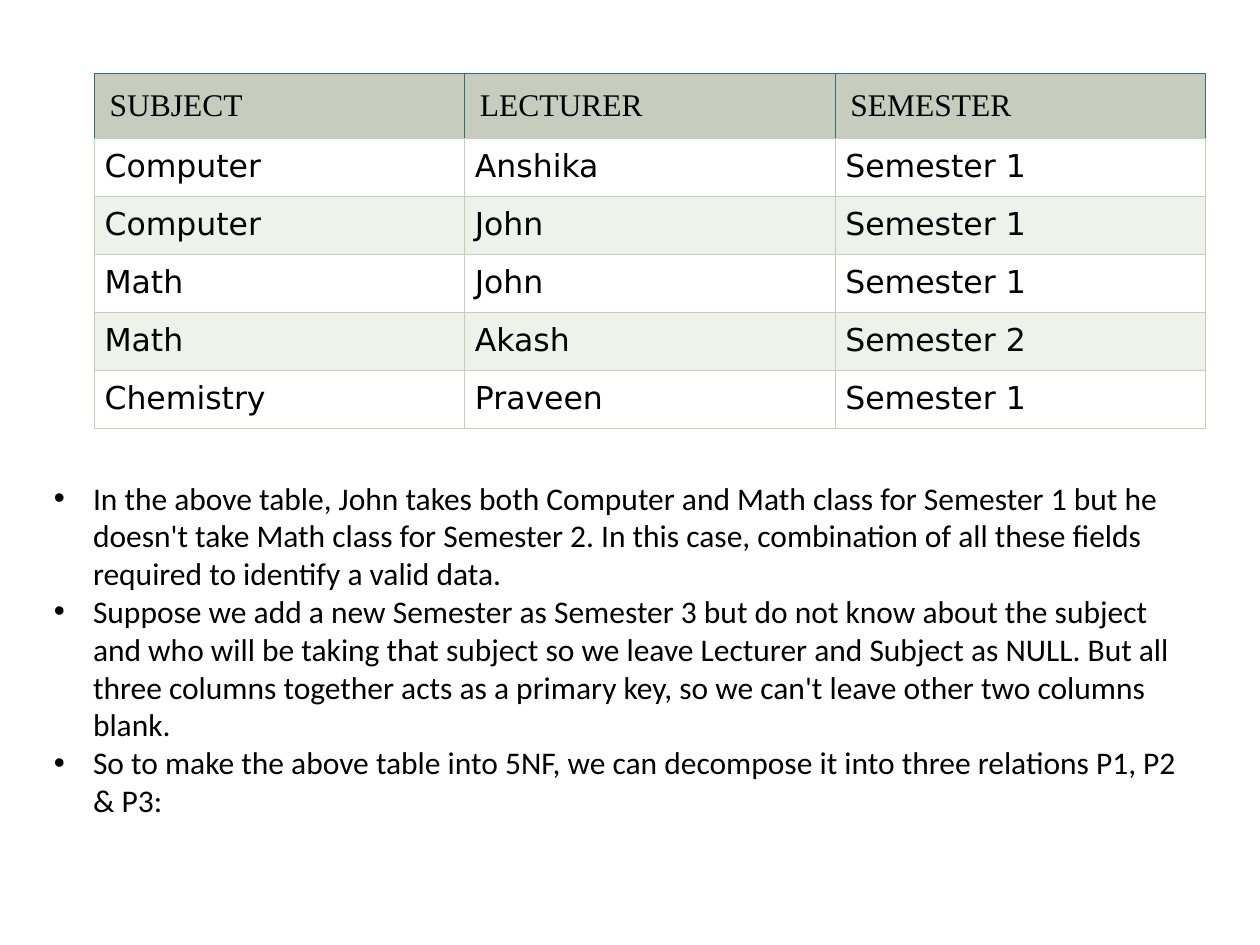
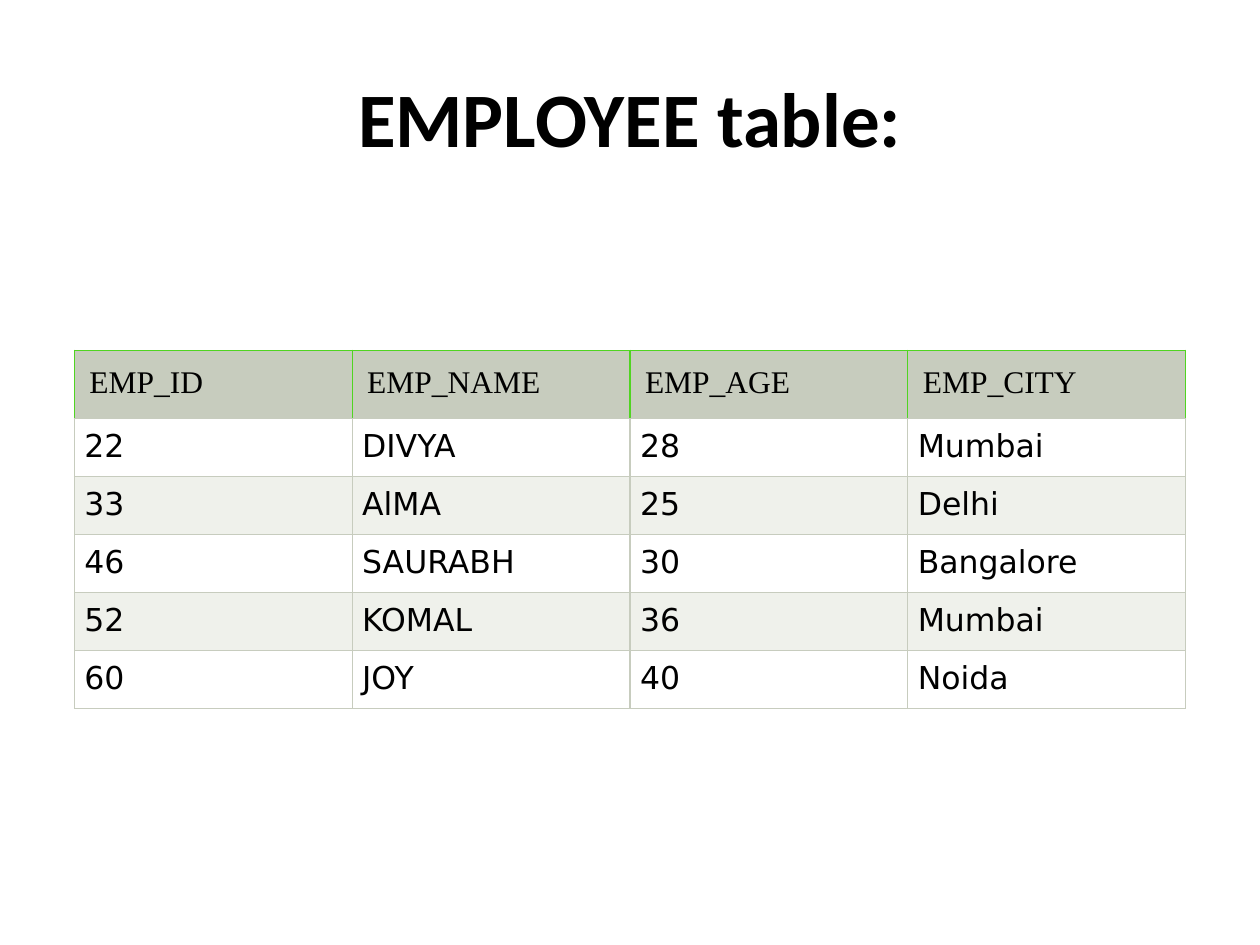
import dataclasses

import lxml.etree
import pptx
import pptx.dml.color
import pptx.enum.text
import pptx.oxml.ns
import pptx.util

Inches = pptx.util.Inches
Pt = pptx.util.Pt
qn = pptx.oxml.ns.qn


@dataclasses.dataclass(frozen=True)
class Theme:
    ink: str = "000000"
    header_fill: str = "C7CCBE"
    grid: str = "C7CCBE"
    row_fills: tuple = ("FFFFFF", "EFF1EB")
    teal: str = "307273"
    green: str = "50D422"
    text_font: str = "Calibri"
    header_font: str = "Times New Roman"
    cell_font: str = "DejaVu Sans"
    title_size: int = 44
    body_size: int = 18
    border_width: float = 0.75
    header_height: float = 0.52
    row_height: float = 0.46
    header_margin: float = 0.12
    cell_margin: float = 0.08


THEME = Theme()

LECTURES = [
    ("SUBJECT", "LECTURER", "SEMESTER"),
    ("Computer", "Anshika", "Semester 1"),
    ("Computer", "John", "Semester 1"),
    ("Math", "John", "Semester 1"),
    ("Math", "Akash", "Semester 2"),
    ("Chemistry", "Praveen", "Semester 1"),
]

EXPLANATION = [
    "In the above table, John takes both Computer and Math class for Semester 1 "
    "but he doesn't take Math class for Semester 2. In this case, combination of "
    "all these fields required to identify a valid data.",
    "Suppose we add a new Semester as Semester 3 but do not know about the subject "
    "and who will be taking that subject so we leave Lecturer and Subject as NULL. "
    "But all three columns together acts as a primary key, so we can't leave other "
    "two columns blank.",
    "So to make the above table into 5NF, we can decompose it into three relations "
    "P1, P2 & P3:",
]

EMPLOYEES = [
    ("EMP_ID", "EMP_NAME", "EMP_AGE", "EMP_CITY"),
    ("22", "DIVYA", "28", "Mumbai"),
    ("33", "AlMA", "25", "Delhi"),
    ("46", "SAURABH", "30", "Bangalore"),
    ("52", "KOMAL", "36", "Mumbai"),
    ("60", "JOY", "40", "Noida"),
]


def rgb(value):
    return pptx.dml.color.RGBColor.from_string(value)


def style_runs(paragraph, font_name, size, bold=False):
    for run in paragraph.runs:
        run.font.name = font_name
        run.font.size = Pt(size)
        run.font.bold = bold
        run.font.color.rgb = rgb(THEME.ink)


def set_borders(cell, side_color, bottom_color):
    """Draw the four cell edges; call before filling the cell."""
    properties = cell._tc.get_or_add_tcPr()
    for edge in ("lnL", "lnR", "lnT", "lnB"):
        line = lxml.etree.SubElement(properties, qn(f"a:{edge}"),
                                     w=str(Pt(THEME.border_width)))
        fill = lxml.etree.SubElement(line, qn("a:solidFill"))
        lxml.etree.SubElement(fill, qn("a:srgbClr"),
                              val=bottom_color if edge == "lnB" else side_color)


def style_cell(cell, fill, font_name, margin, side_color):
    set_borders(cell, side_color, THEME.grid)
    cell.fill.solid()
    cell.fill.fore_color.rgb = rgb(fill)
    cell.margin_left = cell.margin_right = Inches(margin)
    cell.margin_top = cell.margin_bottom = Inches(margin)
    style_runs(cell.text_frame.paragraphs[0], font_name, THEME.body_size)


def add_records(slide, left, top, width, records, header_border):
    """Table with a tinted header row and alternating row fills."""
    columns = len(records[0])
    height = THEME.header_height + THEME.row_height * (len(records) - 1)
    table = slide.shapes.add_table(len(records), columns, Inches(left), Inches(top),
                                   Inches(width), Inches(height)).table
    table.first_row = table.horz_banding = False
    for column in table.columns:
        column.width = Inches(width / columns)
    for r, record in enumerate(records):
        is_header = r == 0
        table.rows[r].height = Inches(THEME.header_height if is_header
                                      else THEME.row_height)
        for c, value in enumerate(record):
            cell = table.cell(r, c)
            cell.text_frame.text = value
            if is_header:
                style_cell(cell, THEME.header_fill, THEME.header_font,
                           THEME.header_margin, header_border)
            else:
                style_cell(cell, THEME.row_fills[(r - 1) % 2], THEME.cell_font,
                           THEME.cell_margin, THEME.grid)


def add_text_frame(slide, left, top, width, height):
    frame = slide.shapes.add_textbox(Inches(left), Inches(top), Inches(width),
                                     Inches(height)).text_frame
    frame.word_wrap = True
    return frame


def add_title(slide, left, top, width, height, title):
    frame = add_text_frame(slide, left, top, width, height)
    frame.vertical_anchor = pptx.enum.text.MSO_ANCHOR.MIDDLE
    frame.text = title
    heading = frame.paragraphs[0]
    heading.alignment = pptx.enum.text.PP_ALIGN.CENTER
    style_runs(heading, THEME.text_font, THEME.title_size, bold=True)


def add_bullets(slide, left, top, width, height, points, indent=0.31):
    frame = add_text_frame(slide, left, top, width, height)
    frame.auto_size = pptx.enum.text.MSO_AUTO_SIZE.SHAPE_TO_FIT_TEXT
    frame.text = "\n".join(points)
    for paragraph in frame.paragraphs:
        properties = paragraph._p.get_or_add_pPr()
        properties.set("marL", str(Inches(indent)))
        properties.set("indent", str(-Inches(indent)))
        lxml.etree.SubElement(properties, qn("a:buFont"), typeface="Arial")
        lxml.etree.SubElement(properties, qn("a:buChar"), char="•")
        style_runs(paragraph, THEME.text_font, THEME.body_size)


def build_lecture_slide(slide):
    add_records(slide, 0.75, 0.58, 8.82, LECTURES, THEME.teal)
    add_bullets(slide, 0.33, 3.75, 9.25, 2.83, EXPLANATION)


def build_employee_slide(slide):
    add_title(slide, 0.5, 0.3, 9, 1.25, "EMPLOYEE table:")
    add_records(slide, 0.59, 2.78, 8.82, EMPLOYEES, THEME.green)


def main():
    deck = pptx.Presentation()
    deck.slide_width = Inches(10)
    deck.slide_height = Inches(7.5)
    blank = deck.slide_layouts[6]
    for build in (build_lecture_slide, build_employee_slide):
        build(deck.slides.add_slide(blank))
    deck.save("out.pptx")


if __name__ == "__main__":
    main()
